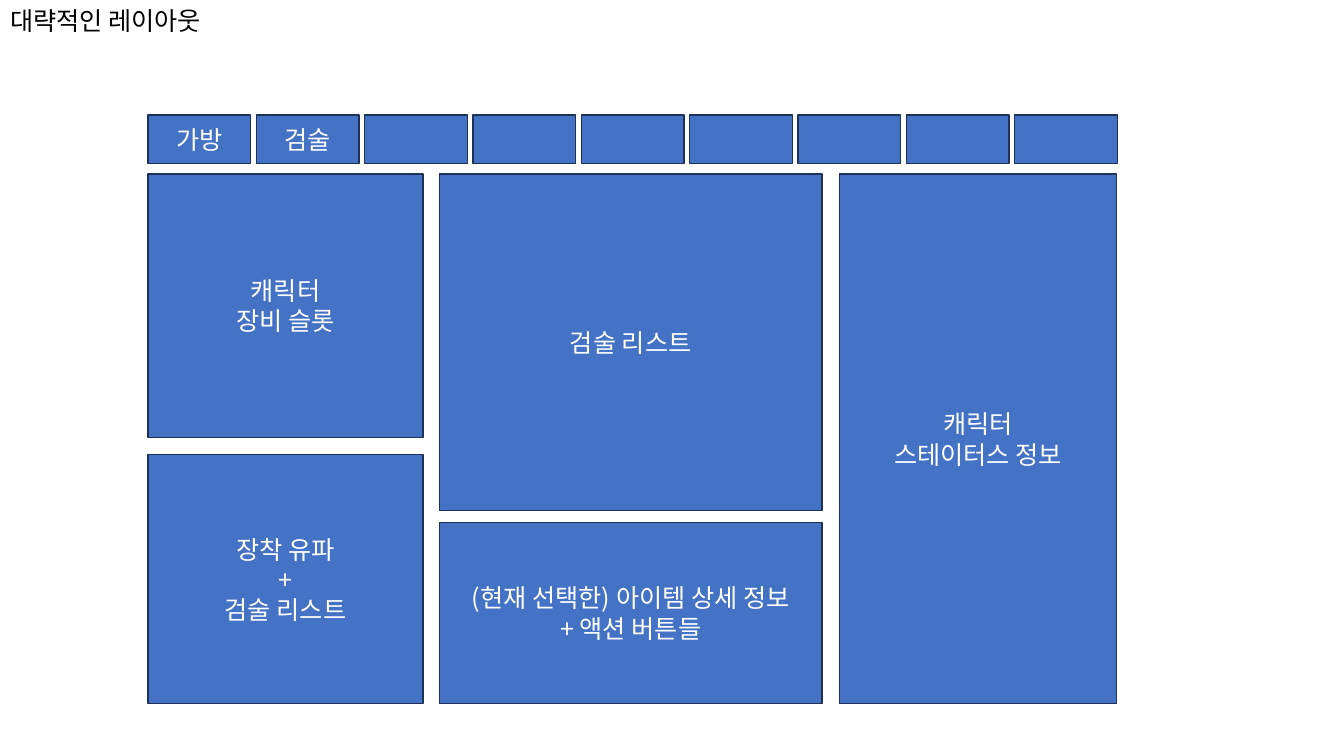
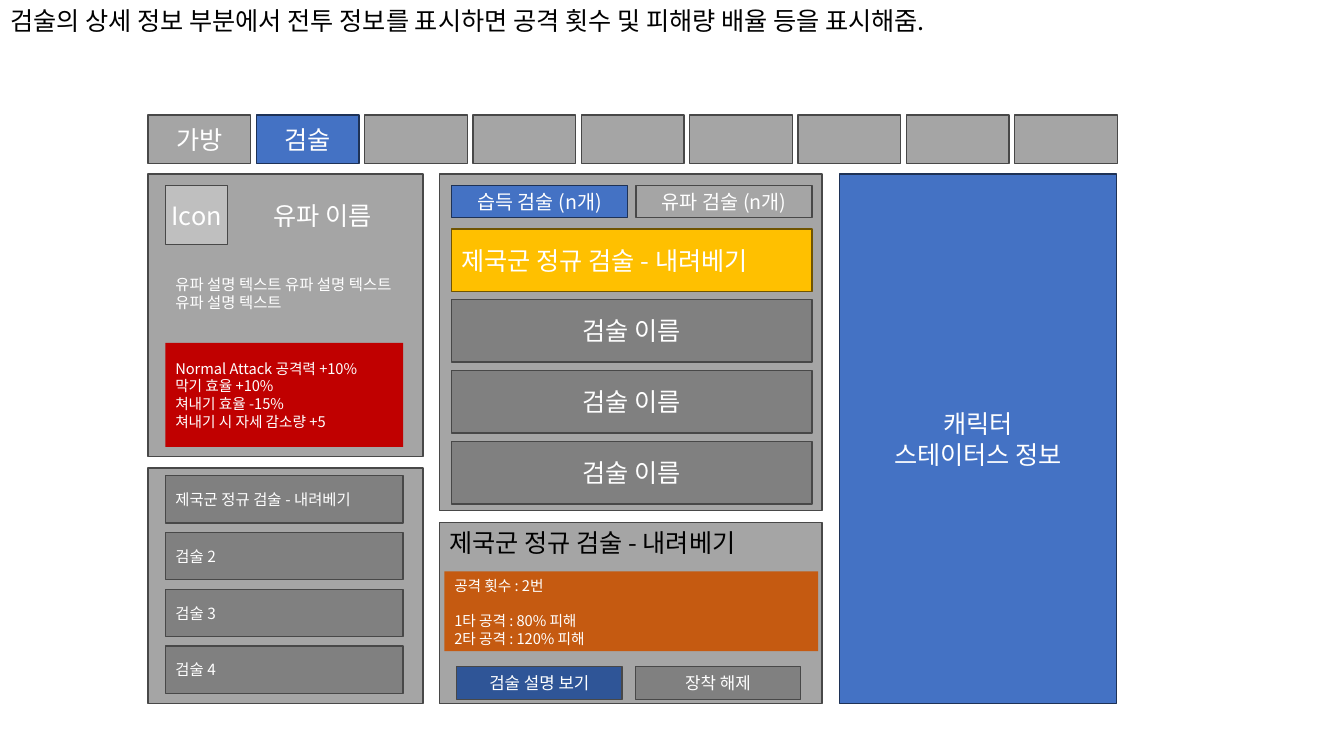
import pptx
import pptx.dml.color
import pptx.enum.shapes
import pptx.enum.text
import pptx.oxml.ns
import pptx.util
from lxml import etree

Cm = pptx.util.Cm
Pt = pptx.util.Pt
RGBColor = pptx.dml.color.RGBColor
Align = pptx.enum.text.PP_ALIGN
Anchor = pptx.enum.text.MSO_ANCHOR

BLUE = RGBColor(0x44, 0x72, 0xC4)
NAVY = RGBColor(0x1E, 0x32, 0x56)
DEEP_BLUE = RGBColor(0x2F, 0x55, 0x97)
GRAY = RGBColor(0xA5, 0xA5, 0xA5)
MID_GRAY = RGBColor(0x80, 0x80, 0x80)
LIGHT_GRAY = RGBColor(0xBF, 0xBF, 0xBF)
DARK_GRAY = RGBColor(0x48, 0x48, 0x48)
GOLD = RGBColor(0xFF, 0xC0, 0x00)
BROWN = RGBColor(0x70, 0x54, 0x00)
RED = RGBColor(0xC0, 0x00, 0x00)
ORANGE = RGBColor(0xC5, 0x5A, 0x11)
WHITE = RGBColor(0xFF, 0xFF, 0xFF)
BLACK = RGBColor(0x00, 0x00, 0x00)

FONT = "Noto Sans CJK KR"
LINES = {BLUE: NAVY, GOLD: BROWN}

LEFT_X, LEFT_W = 3.73, 6.93
MID_X, MID_W = 11.07, 9.65
RIGHT_X, RIGHT_W = 21.16, 6.98
PANEL_Y, PANEL_H = 4.39, 13.34
LIST_H = 8.48
DETAIL_Y, DETAIL_H = 13.16, 4.57
INNER_X, INNER_W, INNER_Y = 4.17, 5.99, 4.67
ENTRY_X, ENTRY_W, ENTRY_H = 11.38, 9.09, 1.57

SKILL = "제국군 정규 검술 - 내려베기"
MENU = ["가방", "검술"] + [""] * 7


class Deck:
    def __init__(self):
        self.prs = pptx.Presentation()
        self.prs.slide_width = Cm(33.87)
        self.prs.slide_height = Cm(19.05)
        self.s = None

    def slide(self, title):
        self.s = self.prs.slides.add_slide(self.prs.slide_layouts[5])
        sp = self.s.shapes.title
        sp.left, sp.top, sp.width, sp.height = Cm(0), Cm(0), Cm(33.87), Cm(1.02)
        sp.text_frame.vertical_anchor = Anchor.TOP
        self.set_text(sp.text_frame, title, color=BLACK, align=Align.LEFT)

    def set_text(self, tf, text, size=18, color=WHITE, align=Align.CENTER, wrap=True):
        tf.word_wrap = wrap
        tf.auto_size = pptx.enum.text.MSO_AUTO_SIZE.NONE
        for i, line in enumerate(text.split("\n")):
            p = tf.add_paragraph() if i else tf.paragraphs[0]
            p.alignment = align
            r = p.add_run()
            r.text = line
            r.font.size = Pt(size)
            r.font.name = FONT
            r.font.color.rgb = color
            ea = etree.SubElement(r.font._element, pptx.oxml.ns.qn("a:ea"))
            ea.set("typeface", FONT)

    def box(self, x, y, w, h, text="", fill=BLUE, outlined=True, shapes=None, **style):
        if shapes is None:
            shapes = self.s.shapes
        sp = shapes.add_shape(
            pptx.enum.shapes.MSO_SHAPE.RECTANGLE, Cm(x), Cm(y), Cm(w), Cm(h))
        sp.shadow.inherit = False
        sp.fill.solid()
        sp.fill.fore_color.rgb = fill
        if outlined:
            sp.line.color.rgb = LINES.get(fill, DARK_GRAY)
            sp.line.width = Pt(1)
        else:
            sp.line.fill.background()
        if text:
            self.set_text(sp.text_frame, text, **style)
        return sp

    def label(self, x, y, w, h, text, **style):
        sp = self.s.shapes.add_textbox(Cm(x), Cm(y), Cm(w), Cm(h))
        self.set_text(sp.text_frame, text, **style)

    def series(self, x, y, w, h, labels, fills, dx=0, dy=0, **style):
        group = self.s.shapes.add_group_shape()
        for i, (text, fill) in enumerate(zip(labels, fills)):
            self.box(x + i * dx, y + i * dy, w, h, text, fill,
                     shapes=group.shapes, **style)

    def menu(self, fills):
        self.series(LEFT_X, 2.9, 2.59, 1.22, MENU, fills, dx=2.73)

    def status(self):
        self.box(RIGHT_X, PANEL_Y, RIGHT_W, PANEL_H, "캐릭터\n스테이터스 정보")


def layout_slide(d):
    d.slide("대략적인 레이아웃")
    d.menu([BLUE] * 9)
    d.box(LEFT_X, PANEL_Y, LEFT_W, 6.63, "캐릭터\n장비 슬롯")
    d.box(LEFT_X, 11.46, LEFT_W, 6.27, "장착 유파\n+\n검술 리스트")
    d.box(MID_X, PANEL_Y, MID_W, LIST_H, "검술 리스트")
    d.box(MID_X, DETAIL_Y, MID_W, DETAIL_H,
          "(현재 선택한) 아이템 상세 정보\n+ 액션 버튼들")
    d.status()


def school_panel(d):
    d.box(LEFT_X, PANEL_Y, LEFT_W, 7.11, fill=GRAY)
    d.box(INNER_X, INNER_Y, 1.57, 1.5, "Icon", LIGHT_GRAY, wrap=False)
    d.box(5.97, INNER_Y, 4.32, 1.5, "유파 이름", GRAY, outlined=False)
    sp = d.box(INNER_X, 6.93, INNER_W, 1.22,
               "유파 설명 텍스트 유파 설명 텍스트 유파 설명 텍스트",
               GRAY, outlined=False, size=11, align=Align.LEFT)
    sp.text_frame.vertical_anchor = Anchor.TOP
    sp.text_frame.margin_top = 0
    d.box(INNER_X, 8.64, INNER_W, 2.62,
          "Normal Attack 공격력 +10%\n막기 효율 +10%\n"
          "쳐내기 효율 -15%\n쳐내기 시 자세 감소량 +5",
          RED, outlined=False, size=10.5, align=Align.LEFT)


def equipped_panel(d):
    d.box(LEFT_X, 11.79, LEFT_W, 5.94, fill=GRAY)
    d.series(INNER_X, 11.99, INNER_W, 1.19, [SKILL, "검술 2", "검술 3", "검술 4"],
             [MID_GRAY] * 4, dy=1.43, size=11, align=Align.LEFT)


def skill_list_panel(d):
    d.box(MID_X, PANEL_Y, MID_W, LIST_H, fill=GRAY)
    d.series(ENTRY_X, INNER_Y, 4.44, 0.81, ["습득 검술 (n개)", "유파 검술 (n개)"],
             [BLUE, GRAY], dx=4.65, size=14)
    d.box(ENTRY_X, 5.77, ENTRY_W, ENTRY_H, SKILL, GOLD, align=Align.LEFT)
    d.series(ENTRY_X, 7.55, ENTRY_W, ENTRY_H, ["검술 이름"] * 3,
             [MID_GRAY] * 3, dy=1.79)


def detail_panel(d):
    d.box(MID_X, DETAIL_Y, MID_W, DETAIL_H, fill=GRAY)
    d.label(MID_X, DETAIL_Y, MID_W, 1.02, SKILL, color=BLACK, align=Align.LEFT)
    sp = d.box(11.2, 14.4, 9.42, 2.01,
               "공격 횟수 : 2번\n1타 공격 : 80% 피해\n2타 공격 : 120% 피해",
               ORANGE, outlined=False, size=10.5, align=Align.LEFT)
    sp.text_frame.vertical_anchor = Anchor.TOP
    sp.text_frame.paragraphs[1].space_before = Pt(13)
    d.series(11.51, 16.79, 4.17, 0.84, ["검술 설명 보기", "장착 해제"],
             [DEEP_BLUE, MID_GRAY], dx=4.5, size=12)


def detail_slide(d):
    d.slide("검술의 상세 정보 부분에서 전투 정보를 표시하면 "
            "공격 횟수 및 피해량 배율 등을 표시해줌.")
    d.menu([GRAY, BLUE] + [GRAY] * 7)
    school_panel(d)
    equipped_panel(d)
    skill_list_panel(d)
    detail_panel(d)
    d.status()


def main():
    d = Deck()
    layout_slide(d)
    detail_slide(d)
    d.prs.save("out.pptx")


if __name__ == "__main__":
    main()
